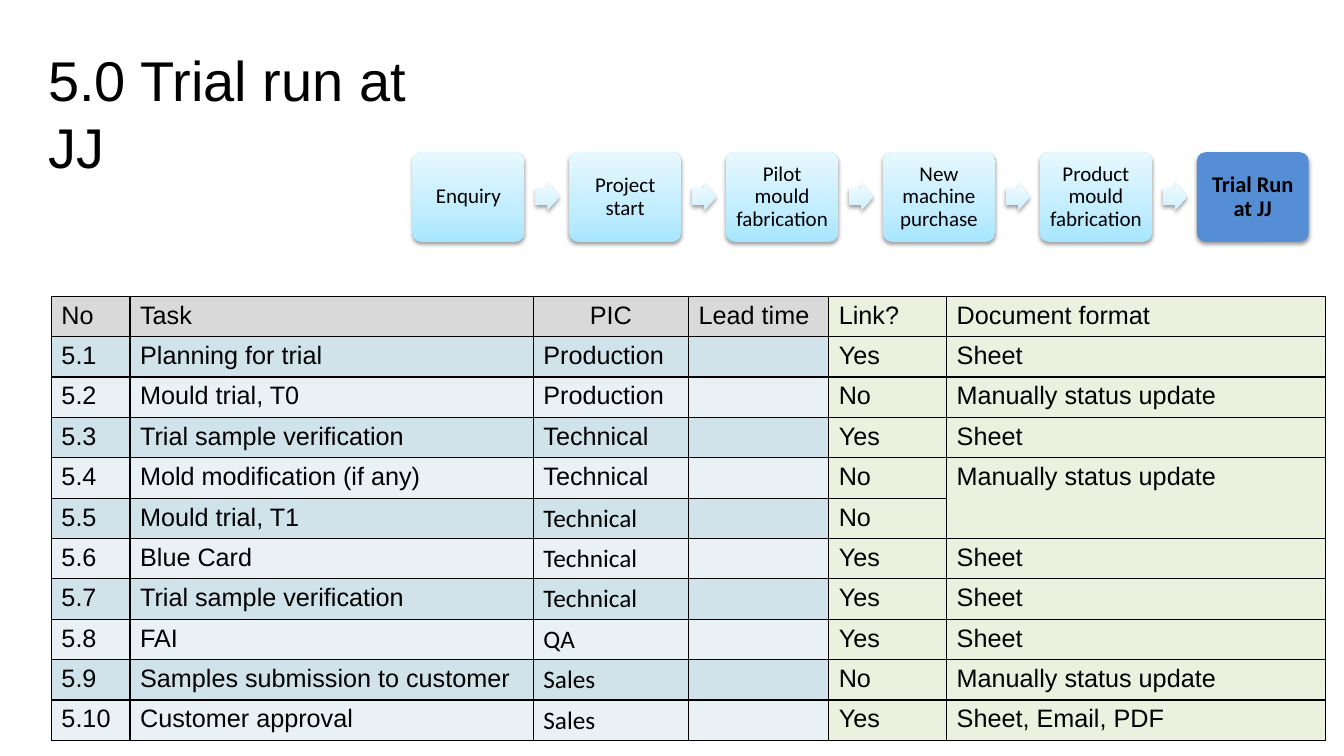
from dataclasses import dataclass

from lxml import etree
from pptx import Presentation
from pptx.dml.color import RGBColor
from pptx.enum.shapes import MSO_SHAPE
from pptx.enum.text import MSO_ANCHOR, PP_ALIGN
from pptx.oxml.ns import qn
from pptx.util import Inches, Pt

ROUNDED = MSO_SHAPE.ROUNDED_RECTANGLE
RIGHT_ARROW = MSO_SHAPE.RIGHT_ARROW
CENTER = PP_ALIGN.CENTER
LEFT = PP_ALIGN.LEFT
MIDDLE = MSO_ANCHOR.MIDDLE


@dataclass(frozen=True)
class Theme:
    text: str = "000000"
    current_step: str = "558ED5"
    step_gradient: tuple = ((0, "A7E6FF"), (35, "C1EDFF"), (100, "E7F8FF"))
    arrow_gradient: tuple = ((0, "CEF0FF"), (35, "DBF4FF"), (100, "F1FBFF"))
    shadow: str = "000000"
    header: str = "D9D9D9"
    bands: tuple = ("E9F1F5", "D0E3EA")
    link: str = "EBF1DE"
    border: str = "000000"
    heading_font: str = "Arial"
    step_font: str = "Calibri"
    title_size: int = 40
    step_size: int = 15
    current_size: int = 16
    table_size: int = 18


theme = Theme()


def add_text(paragraph, text, font, size, bold=False, align=LEFT):
    paragraph.alignment = align
    run = paragraph.add_run()
    run.text = text
    run.font.name = font
    run.font.size = Pt(size)
    run.font.bold = bold
    run.font.color.rgb = RGBColor.from_string(theme.text)


def add_flow_shape(kind, left, top, width, height, gradient):
    shape = slide.shapes.add_shape(kind, Inches(left), Inches(top), Inches(width), Inches(height))
    shape.line.fill.background()
    if gradient:
        shape.fill.gradient()
        shape.fill.gradient_angle = 90
        stops = shape._element.spPr.find(qn("a:gradFill")).find(qn("a:gsLst"))
        for stop in list(stops):
            stops.remove(stop)
        for position, color in gradient:
            stop = etree.SubElement(stops, qn("a:gs"), pos=str(position * 1000))
            etree.SubElement(stop, qn("a:srgbClr"), val=color)
    else:
        shape.fill.solid()
        shape.fill.fore_color.rgb = RGBColor.from_string(theme.current_step)
    shape.shadow.inherit = False
    effects = shape._element.spPr.find(qn("a:effectLst"))
    shadow = etree.SubElement(effects, qn("a:outerShdw"), blurRad=str(Pt(3.1)),
                              dist=str(Pt(1.6)), dir="5400000", rotWithShape="0")
    shade = etree.SubElement(shadow, qn("a:srgbClr"), val=theme.shadow)
    etree.SubElement(shade, qn("a:alpha"), val="38000")
    return shape


presentation = Presentation()
presentation.slide_width = Inches(13.33)
presentation.slide_height = Inches(7.5)
slide = presentation.slides.add_slide(presentation.slide_layouts[6])

title = slide.shapes.add_textbox(Inches(0.38), Inches(0.4), Inches(3.97), Inches(0.77))
title.text_frame.word_wrap = True
add_text(title.text_frame.paragraphs[0], "5.0 Trial run at JJ", theme.heading_font, theme.title_size)

steps = ["Enquiry", "Project start", "Pilot mould fabrication", "New machine purchase",
         "Product mould fabrication", "Trial Run at JJ"]
first_left, last_left = 4.09, 11.87
pitch = (last_left - first_left) / (len(steps) - 1)
for index, step in enumerate(steps):
    left = first_left + index * pitch
    current = index == len(steps) - 1
    box = add_flow_shape(ROUNDED, left, 1.51, 1.11, 0.89, None if current else theme.step_gradient)
    box.adjustments[0] = 0.1
    frame = box.text_frame
    frame.word_wrap = True
    frame.vertical_anchor = MIDDLE
    frame.margin_left = frame.margin_right = Inches(0.05)
    frame.margin_top = frame.margin_bottom = Inches(0.05)
    paragraph = frame.paragraphs[0]
    paragraph.line_spacing = 0.9
    size = theme.current_size if current else theme.step_size
    add_text(paragraph, step, theme.step_font, size, current, CENTER)
    if not current:
        arrow = add_flow_shape(RIGHT_ARROW, left + 1.22, 1.81, 0.24, 0.28, theme.arrow_gradient)
        arrow.adjustments[0] = 0.6
        arrow.adjustments[1] = 0.5

rows = [
    ("No", "Task", "PIC", "Lead time", "Link?", "Document format"),
    ("5.1", "Planning for trial", "Production", "", "Yes", "Sheet"),
    ("5.2", "Mould trial, T0", "Production", "", "No", "Manually status update"),
    ("5.3", "Trial sample verification", "Technical", "", "Yes", "Sheet"),
    ("5.4", "Mold modification (if any)", "Technical", "", "No", "Manually status update"),
    ("5.5", "Mould trial, T1", "Technical", "", "No", ""),
    ("5.6", "Blue Card", "Technical", "", "Yes", "Sheet"),
    ("5.7", "Trial sample verification", "Technical", "", "Yes", "Sheet"),
    ("5.8", "FAI", "QA", "", "Yes", "Sheet"),
    ("5.9", "Samples submission to customer", "Sales", "", "No", "Manually status update"),
    ("5.10", "Customer approval", "Sales", "", "Yes", "Sheet, Email, PDF"),
]
column_widths = [0.78, 4, 1.54, 1.39, 1.17, 3.76]
pic_column, link_column, format_column = 2, 4, 5
table = slide.shapes.add_table(len(rows), len(column_widths), Inches(0.51), Inches(2.94),
                               Inches(12.64), Inches(4.4)).table
table.first_row = False
table.horz_banding = False
for column, width in zip(table.columns, column_widths):
    column.width = Inches(width)
for row in table.rows:
    row.height = Inches(0.4)

for row_index, values in enumerate(rows):
    for column_index, value in enumerate(values):
        cell = table.cell(row_index, column_index)
        properties = cell._tc.get_or_add_tcPr()
        for side in ("a:lnL", "a:lnR", "a:lnT", "a:lnB"):
            line = etree.SubElement(properties, qn(side), w=str(Pt(1)))
            line_fill = etree.SubElement(line, qn("a:solidFill"))
            etree.SubElement(line_fill, qn("a:srgbClr"), val=theme.border)
        if column_index >= link_column:
            color = theme.link
        elif row_index == 0:
            color = theme.header
        else:
            color = theme.bands[row_index % 2]
        cell.fill.solid()
        cell.fill.fore_color.rgb = RGBColor.from_string(color)
        if value:
            in_pic = column_index == pic_column
            font = theme.step_font if in_pic and row_index >= 5 else theme.heading_font
            align = CENTER if in_pic and row_index == 0 else LEFT
            add_text(cell.text_frame.paragraphs[0], value, font, theme.table_size, align=align)

table.cell(4, format_column).merge(table.cell(5, format_column))

presentation.save("out.pptx")
